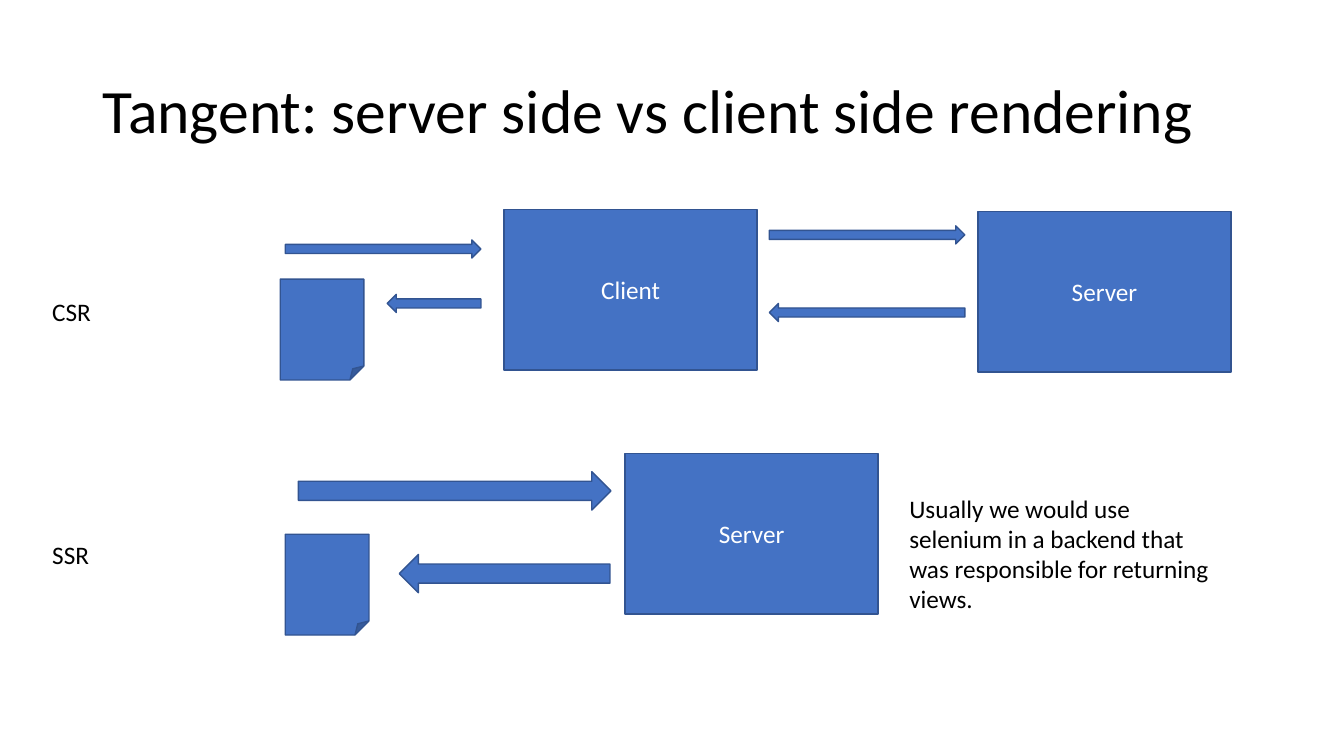
from dataclasses import dataclass

from pptx import Presentation
from pptx.dml.color import RGBColor
from pptx.enum.shapes import MSO_SHAPE
from pptx.enum.text import MSO_ANCHOR, MSO_AUTO_SIZE, PP_ALIGN
from pptx.shapes.autoshape import Shape
from pptx.slide import Slide
from pptx.util import Emu, Inches, Pt

COLS, ROWS = 13.33, 7.5
COL = ROW = Inches(1)
FONT = "Calibri"
COLOURS = {"fill": "4472C4", "edge": "325491", "light": "FFFFFF", "dark": "000000"}


@dataclass(frozen=True)
class Cell:
    """A place on the grid, in columns and rows."""
    col: float
    row: float
    wide: float
    high: float

    def box(self) -> tuple[Emu, Emu, Emu, Emu]:
        return (Emu(round(self.col * COL)), Emu(round(self.row * ROW)),
                Emu(round(self.wide * COL)), Emu(round(self.high * ROW)))


@dataclass(frozen=True)
class Node:
    kind: MSO_SHAPE
    cell: Cell
    text: str = ""
    turn: int = 0


@dataclass(frozen=True)
class Label:
    text: str
    cell: Cell


def host(text: str, col: float, row: float) -> Node:
    return Node(MSO_SHAPE.RECTANGLE, Cell(col, row, 2.51, 1.59), text)


def page(col: float, row: float) -> Node:
    return Node(MSO_SHAPE.FOLDED_CORNER, Cell(col, row, 0.83, 1))


def arrow(col: float, row: float, wide: float, high: float, turn: int = 0) -> Node:
    return Node(MSO_SHAPE.RIGHT_ARROW, Cell(col, row, wide, high), turn=turn)


THIN, THICK, BACK = 0.18, 0.38, 180

SERVER_SIDE = [
    host("Server", 6.2, 4.5),
    arrow(2.96, 4.68, 3.1, THICK),
    arrow(3.96, 5.5, 2.09, THICK, BACK),
    page(2.83, 5.3),
]
CLIENT_SIDE = [
    host("Server", 9.7, 2.1),
    host("Client", 5, 2.08),
    arrow(2.83, 2.38, 1.94, THIN),
    arrow(7.63, 2.24, 1.94, THIN),
    arrow(7.63, 3.01, 1.94, THIN, BACK),
    arrow(3.84, 2.92, 0.93, THIN, BACK),
    page(2.78, 2.77),
]
LABELS = [
    Label("CSR", Cell(0.42, 2.89, 1, 0.4)),
    Label("SSR", Cell(0.42, 5.3, 1, 0.4)),
    Label("Usually we would use selenium in a backend that was responsible "
          "for returning views.", Cell(8.92, 4.84, 3.29, 1.31)),
]


def write(shape: Shape, text: str, size: int, hue: str, align: PP_ALIGN,
          anchor: MSO_ANCHOR) -> None:
    frame = shape.text_frame
    frame.word_wrap = True
    frame.auto_size = MSO_AUTO_SIZE.NONE
    frame.vertical_anchor = anchor
    para = frame.paragraphs[0]
    para.alignment = align
    run = para.add_run()
    run.text = text
    run.font.name = FONT
    run.font.size = Pt(size)
    run.font.color.rgb = RGBColor.from_string(COLOURS[hue])


def add_title(slide: Slide, text: str) -> None:
    title = slide.shapes.title
    title.left, title.top, title.width, title.height = Cell(0.92, 0.4, 11.5, 1.45).box()
    write(title, text, 44, "dark", PP_ALIGN.LEFT, MSO_ANCHOR.MIDDLE)
    title.text_frame.paragraphs[0].line_spacing = 0.9


def add_node(slide: Slide, node: Node) -> None:
    shape = slide.shapes.add_shape(node.kind, *node.cell.box())
    shape.shadow.inherit = False
    shape.rotation = node.turn
    shape.fill.solid()
    shape.fill.fore_color.rgb = RGBColor.from_string(COLOURS["fill"])
    shape.line.color.rgb = RGBColor.from_string(COLOURS["edge"])
    shape.line.width = Pt(1)
    if node.text:
        write(shape, node.text, 18, "light", PP_ALIGN.CENTER, MSO_ANCHOR.MIDDLE)


def add_label(slide: Slide, label: Label) -> None:
    box = slide.shapes.add_textbox(*label.cell.box())
    write(box, label.text, 18, "dark", PP_ALIGN.LEFT, MSO_ANCHOR.TOP)


def main() -> None:
    deck = Presentation()
    deck.slide_width = Emu(round(COLS * COL))
    deck.slide_height = Emu(round(ROWS * ROW))
    slide = deck.slides.add_slide(deck.slide_layouts.get_by_name("Title Only"))
    add_title(slide, "Tangent: server side vs client side rendering")
    for node in SERVER_SIDE + CLIENT_SIDE:
        add_node(slide, node)
    for label in LABELS:
        add_label(slide, label)
    deck.save("out.pptx")


if __name__ == "__main__":
    main()
